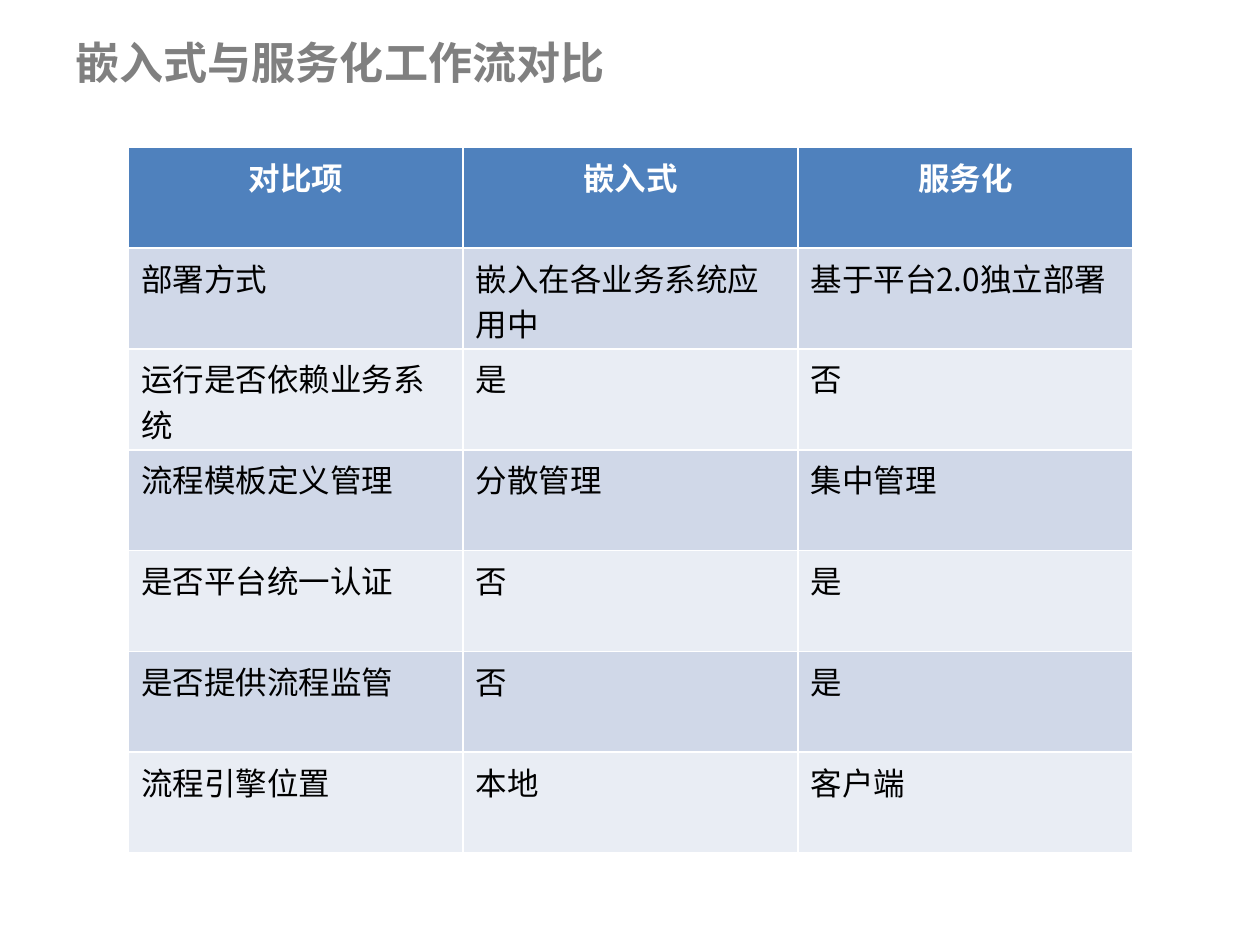
from lxml import etree
from pptx import Presentation
from pptx.dml.color import RGBColor
from pptx.enum.text import MSO_ANCHOR, PP_ALIGN
from pptx.oxml.ns import qn
from pptx.util import Inches, Pt

CENTER, LEFT = PP_ALIGN.CENTER, PP_ALIGN.LEFT
MIDDLE = MSO_ANCHOR.MIDDLE
FONT = "Noto Sans CJK SC"
GRAY = RGBColor(0x80, 0x80, 0x80)
WHITE = RGBColor(0xFF, 0xFF, 0xFF)
BLACK = RGBColor(0x00, 0x00, 0x00)
BLUE = RGBColor(0x4F, 0x81, 0xBD)
BAND_DARK = RGBColor(0xD0, 0xD8, 0xE8)
BAND_LIGHT = RGBColor(0xE9, 0xED, 0xF4)

ROWS = [
    ("对比项", "嵌入式", "服务化"),
    ("部署方式", "嵌入在各业务系统应用中", "基于平台2.0独立部署"),
    ("运行是否依赖业务系统", "是", "否"),
    ("流程模板定义管理", "分散管理", "集中管理"),
    ("是否平台统一认证", "否", "是"),
    ("是否提供流程监管", "否", "是"),
    ("流程引擎位置", "本地", "客户端"),
]


def write(tf, text, size, color, bold, align=LEFT):
    p = tf.paragraphs[0]
    p.text = text
    p.alignment = align
    font = p.font
    font.size, font.bold, font.name = Pt(size), bold, FONT
    font.color.rgb = color
    # Chinese text takes the East Asian typeface
    latin = p._p.pPr.find(qn("a:defRPr")).find(qn("a:latin"))
    ea = etree.Element(qn("a:ea"), typeface=FONT)
    latin.addnext(ea)


prs = Presentation()
prs.slide_width, prs.slide_height = Inches(10), Inches(7.5)
s = prs.slides.add_slide(prs.slide_layouts[6])

# Title
tf = s.shapes.add_textbox(Inches(0.5), Inches(0.21), Inches(9), Inches(0.56)).text_frame
tf.word_wrap = True
tf.vertical_anchor = MIDDLE
write(tf, "嵌入式与服务化工作流对比", 25.2, GRAY, True)

# Comparison table: the default style draws the white borders
table = s.shapes.add_table(len(ROWS), 3, Inches(1.02), Inches(1.17),
                           Inches(7.97), Inches(5.6)).table
for row, texts in enumerate(ROWS):
    header = row == 0
    band = BAND_DARK if row % 2 else BAND_LIGHT
    for col, text in enumerate(texts):
        cell = table.cell(row, col)
        cell.fill.solid()
        cell.fill.fore_color.rgb = BLUE if header else band
        write(cell.text_frame, text, 18, WHITE if header else BLACK, header,
              CENTER if header else LEFT)

prs.save("out.pptx")
